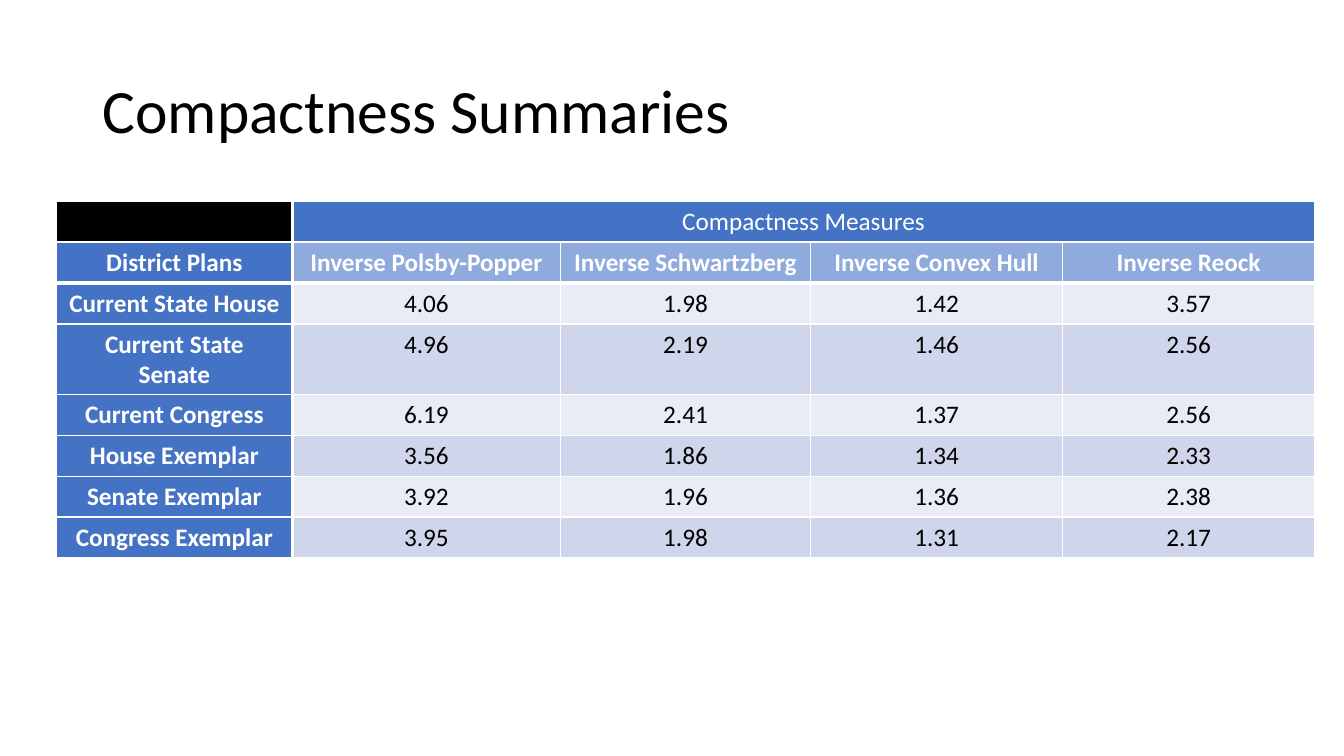
from lxml.etree import SubElement
from pptx import Presentation
from pptx.dml.color import RGBColor
from pptx.enum.text import MSO_ANCHOR, PP_ALIGN
from pptx.oxml.ns import qn
from pptx.util import Inches, Pt

FONT = "Calibri"
WHITE, BLACK, BLUE, LIGHT_BLUE = "FFFFFF", "000000", "4472C4", "8FAADC"
BANDS = ("E9EBF5", "CFD5EA")
TITLE_BOX = (0.92, 0.4, 11.5, 1.45)
TABLE_BOX = (0.56, 2, 12.48, 3.24)
COLUMN_WIDTHS = (2.34, 2.66, 2.48, 2.5, 2.5)
COLUMN_LINES = (1, 3, 1, 1, 1, 1)
ROW_LINES = (1, 1.5, 3, 1, 1, 1, 1, 1, 1)
ROWS = (
    ("", "Compactness Measures", "", "", ""),
    ("District Plans", "Inverse Polsby-Popper", "Inverse Schwartzberg",
     "Inverse Convex Hull", "Inverse Reock"),
    ("Current State House ", "4.06", "1.98", "1.42", "3.57"),
    ("Current State Senate", "4.96", "2.19", "1.46", "2.56"),
    ("Current Congress", "6.19", "2.41", "1.37", "2.56"),
    ("House Exemplar", "3.56", "1.86", "1.34", "2.33"),
    ("Senate Exemplar", "3.92", "1.96", "1.36", "2.38"),
    ("Congress Exemplar", "3.95", "1.98", "1.31", "2.17"),
)


def color(hex_string):
    """Turn a hex string into a colour."""
    return RGBColor.from_string(hex_string)


def style_font(paragraph, size, hex_string, bold=False):
    """Set the font of a whole paragraph."""
    font = paragraph.font
    font.name, font.size, font.bold = FONT, Pt(size), bold
    font.color.rgb = color(hex_string)


def add_title(slide, box, text):
    """Place the slide title, centred vertically in its box."""
    frame = slide.shapes.add_textbox(*map(Inches, box)).text_frame
    frame.word_wrap = True
    frame.vertical_anchor = MSO_ANCHOR.MIDDLE
    paragraph = frame.paragraphs[0]
    paragraph.text = text
    paragraph.line_spacing = 0.9
    style_font(paragraph, 44, BLACK)


def add_borders(cell, row, column):
    """Draw the white lines on the four sides of a cell."""
    properties = cell._tc.get_or_add_tcPr()
    widths = {"L": COLUMN_LINES[column], "R": COLUMN_LINES[column + 1],
              "T": ROW_LINES[row], "B": ROW_LINES[row + 1]}
    for side, width in widths.items():
        line = SubElement(properties, qn(f"a:ln{side}"), w=str(Pt(width)))
        fill = SubElement(line, qn("a:solidFill"))
        SubElement(fill, qn("a:srgbClr"), val=WHITE)


def cell_fill(row, column):
    """Choose the fill of a cell from its place in the table."""
    if column == 0:
        return BLUE if row else BLACK
    if row < 2:
        return (BLUE, LIGHT_BLUE)[row]
    return BANDS[row % 2]


def add_measures_table(slide, box):
    """Fill the box with the table of compactness measures."""
    left, top, width, height = map(Inches, box)
    table = slide.shapes.add_table(
        len(ROWS), len(COLUMN_WIDTHS), left, top, width, height).table
    table.first_row = table.horz_banding = False
    for column, share in zip(table.columns, COLUMN_WIDTHS):
        column.width = int(width * share / sum(COLUMN_WIDTHS))
    for row, texts in enumerate(ROWS):
        for column, text in enumerate(texts):
            cell = table.cell(row, column)
            add_borders(cell, row, column)
            cell.fill.solid()
            cell.fill.fore_color.rgb = color(cell_fill(row, column))
            paragraph = cell.text_frame.paragraphs[0]
            paragraph.text = text
            paragraph.alignment = PP_ALIGN.CENTER
            is_header = row < 2 or column == 0
            style_font(paragraph, 18, WHITE if is_header else BLACK,
                       bold=is_header and row > 0)
    table.cell(0, 1).merge(table.cell(0, len(COLUMN_WIDTHS) - 1))


def main():
    """Build the slide and save it."""
    presentation = Presentation()
    presentation.slide_width = Inches(13.33)
    presentation.slide_height = Inches(7.5)
    slide = presentation.slides.add_slide(presentation.slide_layouts[6])
    add_title(slide, TITLE_BOX, "Compactness Summaries")
    add_measures_table(slide, TABLE_BOX)
    presentation.save("out.pptx")


if __name__ == "__main__":
    main()
